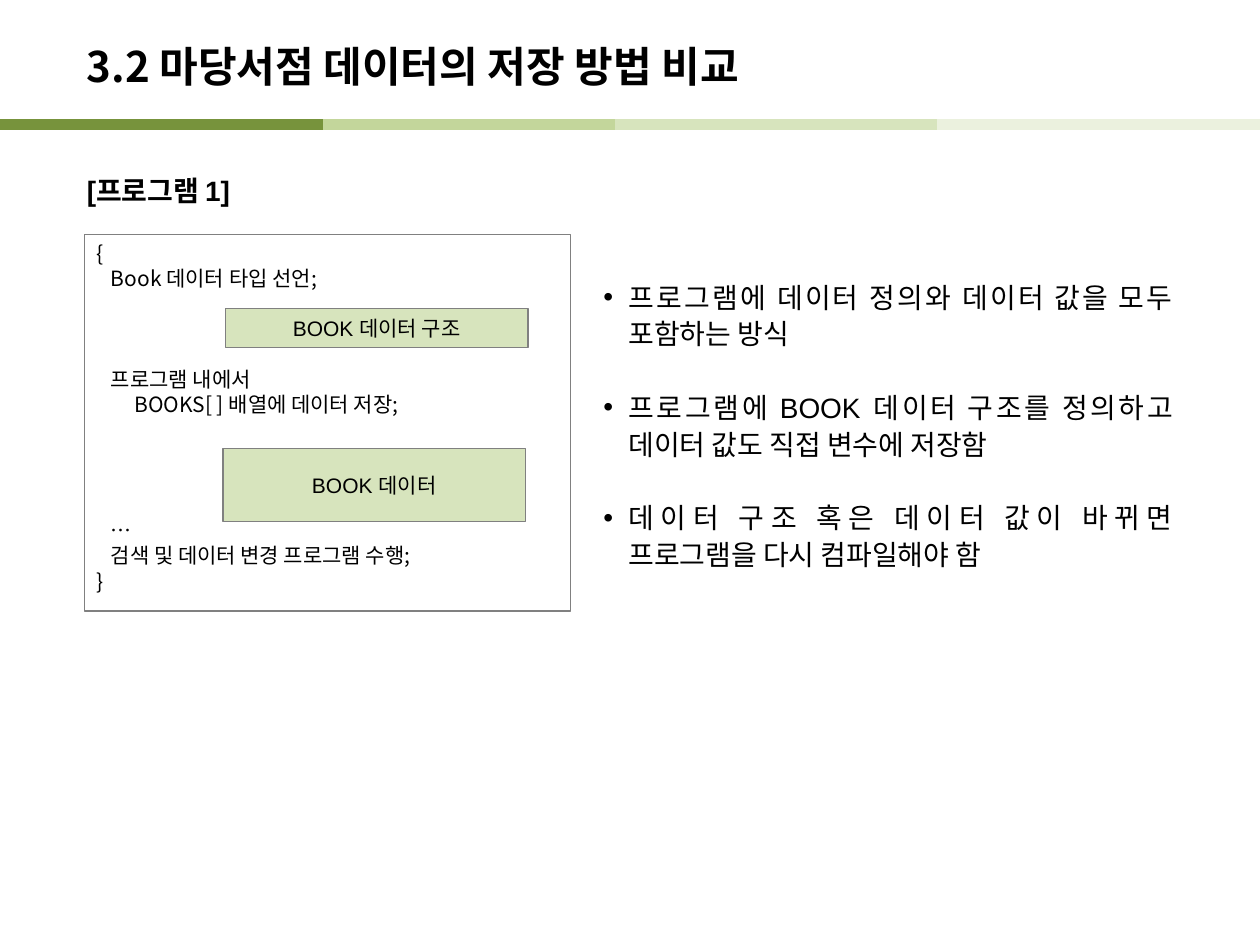
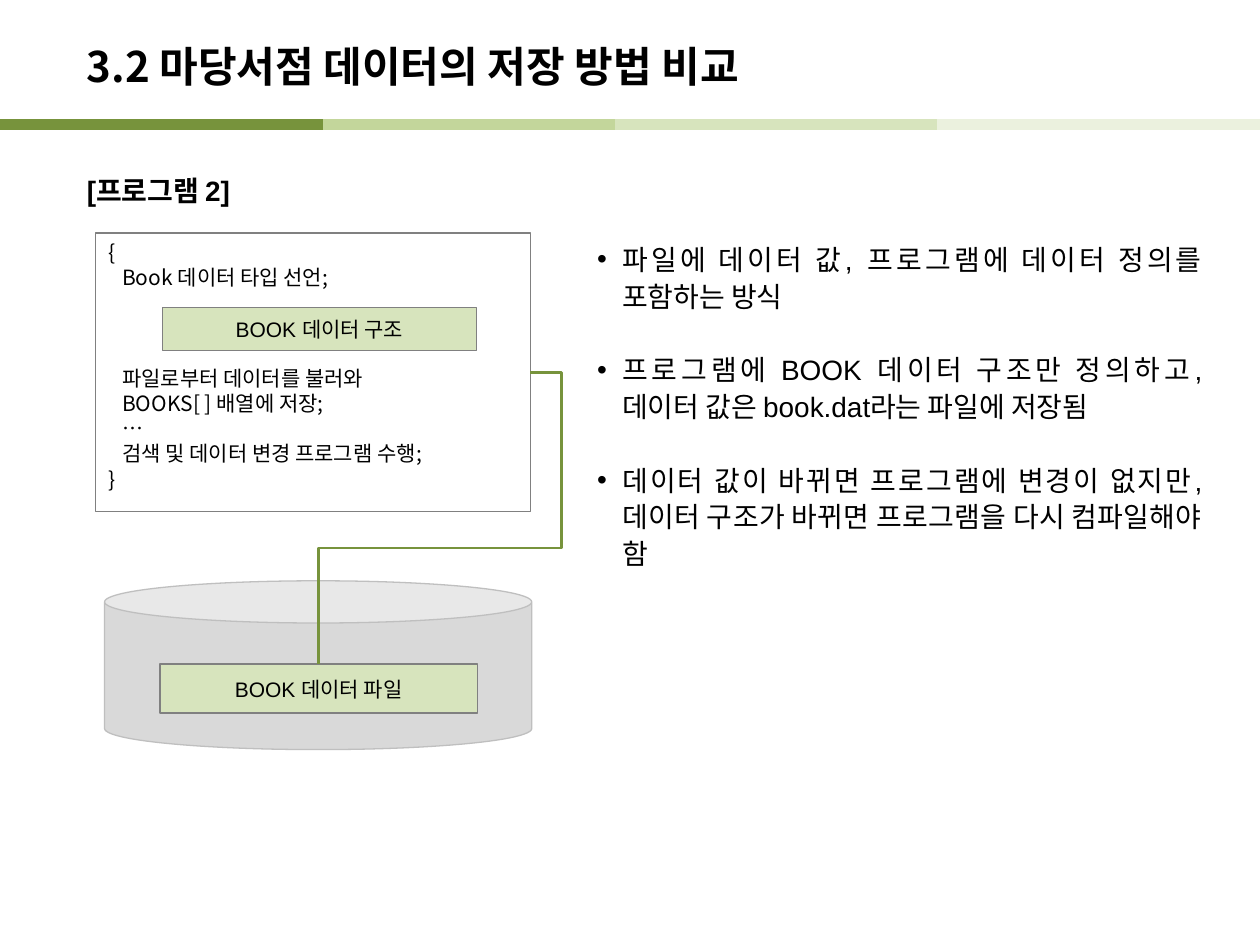
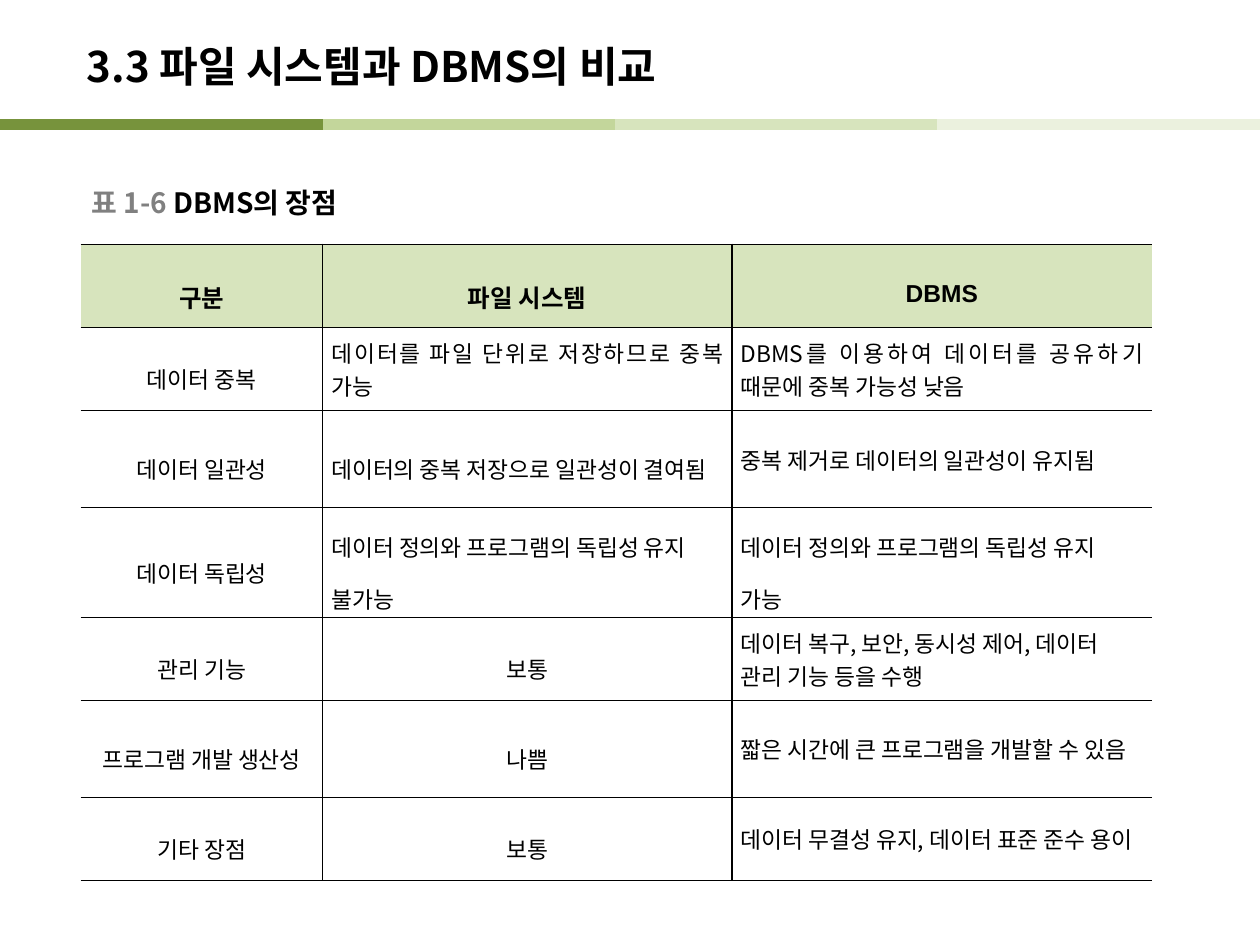
from lxml import etree
from pptx import Presentation
from pptx.dml.color import RGBColor
from pptx.enum.shapes import MSO_CONNECTOR, MSO_SHAPE
from pptx.enum.text import MSO_ANCHOR, PP_ALIGN
from pptx.oxml.ns import qn
from pptx.util import Inches, Pt

RECT, CAN = MSO_SHAPE.RECTANGLE, MSO_SHAPE.CAN
LINE, ELBOW = MSO_CONNECTOR.STRAIGHT, MSO_CONNECTOR.ELBOW
TOP, MID = MSO_ANCHOR.TOP, MSO_ANCHOR.MIDDLE
LEFT, CENTER, FULL = PP_ALIGN.LEFT, PP_ALIGN.CENTER, PP_ALIGN.JUSTIFY

HUES = {
    "ink": "000000", "white": "FFFFFF", "gray": "808080",
    "can": "D9D9D9", "rim": "BFBFBF", "deep": "77933C",
    "leaf": "C3D69B", "pale": "D7E4BD", "mist": "EBF1DE",
}
COLORS = {name: RGBColor.from_string(code) for name, code in HUES.items()}
SANS, ARIAL = "Noto Sans CJK KR", "Arial"

LOOKS = {
    "title": {"size": Pt(24), "bold": True, "name": SANS},
    "head": {"size": Pt(16), "bold": True, "name": ARIAL},
    "point": {"size": Pt(16), "bold": False, "name": ARIAL},
    "code": {"size": Pt(12), "bold": False, "name": SANS},
    "label": {"size": Pt(12), "bold": False, "name": ARIAL},
    "sign": {"size": Pt(16), "bold": True, "name": SANS},
    "top": {"size": Pt(14), "bold": True, "name": SANS},
    "dbms": {"size": Pt(14), "bold": True, "name": ARIAL},
    "cell": {"size": Pt(13), "bold": False, "name": SANS},
}
BANDS = [
    ("leaf", 2.32, 4.88), ("pale", 4.88, 7.44),
    ("mist", 7.44, 10), ("deep", 0, 2.56),
]


def write(par, text, look, hue="ink", **form):
    run = par.add_run()
    run.text = text
    for key, val in LOOKS[look].items():
        setattr(run.font, key, val)
    run.font.color.rgb = COLORS[hue]
    props = run._r.get_or_add_rPr()
    etree.SubElement(props, qn("a:ea")).set("typeface", SANS)
    for key, val in form.items():
        setattr(par, key, val)


def block(slide, spot, fill=None, edge="gray", kind=RECT, anchor=MID):
    spot = [Inches(n) for n in spot]
    if fill:
        shape = slide.shapes.add_shape(kind, *spot)
        shape.shadow.inherit = False
        shape.fill.solid()
        shape.fill.fore_color.rgb = COLORS[fill]
        shape.line.color.rgb = COLORS[edge]
        shape.line.width = Pt(0.75)
    else:
        shape = slide.shapes.add_textbox(*spot)
    shape.text_frame.word_wrap = True
    shape.text_frame.vertical_anchor = anchor
    return shape


prs = Presentation()
prs.slide_width, prs.slide_height = Inches(10), Inches(7.5)
STORE = "3.2 마당서점 데이터의 저장 방법 비교"
slides = []
for title in [STORE, STORE, "3.3 파일 시스템과 DBMS의 비교"]:
    slide = prs.slides.add_slide(prs.slide_layouts[6])
    for hue, start, end in BANDS:
        band = slide.shapes.add_connector(
            LINE, Inches(start), Inches(0.99), Inches(end), Inches(0.99))
        band.line.color.rgb = COLORS[hue]
        band.line.width = Pt(6)
        etree.SubElement(band._element.spPr, qn("a:effectLst"))
    head = block(slide, (0.59, 0.22, 8.27, 0.6))
    write(head.text_frame.paragraphs[0], title, "title", alignment=LEFT)
    slides.append(slide)

PAGES = [
    {
        "head": "[프로그램 1]",
        "list": (4.69, 2.15, 4.72, 2.74),
        "points": [
            "프로그램에 데이터 정의와 데이터 값을 모두 포함하는 방식",
            "프로그램에 BOOK 데이터 구조를 정의하고 데이터 값도 직접 변수에 저장함",
            "데이터 구조 혹은 데이터 값이 바뀌면 프로그램을 다시 컴파일해야 함",
        ],
        "frame": (0.67, 1.86, 3.86, 2.99),
        "code": [
            ("{", 0),
            ("   Book 데이터 타입 선언;", 0),
            ("   프로그램 내에서", 3),
            ("        BOOKS[ ] 배열에 데이터 저장;", 0),
            ("   …", 4),
            ("   검색 및 데이터 변경 프로그램 수행;", 0),
            ("}", 0),
        ],
        "labels": [
            ("BOOK 데이터", (1.77, 3.56, 2.4, 0.58)),
            ("BOOK 데이터 구조", (1.79, 2.45, 2.4, 0.31)),
        ],
    },
    {
        "head": "[프로그램 2]",
        "list": (4.64, 1.85, 5, 2.75),
        "points": [
            "파일에 데이터 값, 프로그램에 데이터 정의를 포함하는 방식",
            "프로그램에 BOOK 데이터 구조만 정의하고, 데이터 값은 book.dat라는 파일에 저장됨",
            "데이터 값이 바뀌면 프로그램에 변경이 없지만, 데이터 구조가 바뀌면 프로그램을 다시 컴파일해야 함",
        ],
        "frame": (0.76, 1.85, 3.45, 2.21),
        "code": [
            ("{", 0),
            ("   Book 데이터 타입 선언;", 0),
            ("   파일로부터 데이터를 불러와", 3),
            ("   BOOKS[ ] 배열에 저장;", 0),
            ("   …", 0),
            ("   검색 및 데이터 변경 프로그램 수행;", 0),
            ("}", 0),
        ],
        "can": (0.83, 4.61, 3.39, 1.34),
        "labels": [
            ("BOOK 데이터 구조", (1.29, 2.44, 2.49, 0.34)),
            ("BOOK 데이터 파일", (1.27, 5.27, 2.52, 0.39)),
        ],
    },
]
PITCH = 14.4
for slide, page in zip(slides, PAGES):
    head = block(slide, (0.59, 1.19, 8.82, 0.6), anchor=TOP)
    write(head.text_frame.paragraphs[0], page["head"], "head",
          line_spacing=Pt(29.4))

    frame = block(slide, page["list"], anchor=TOP).text_frame
    for i, text in enumerate(page["points"]):
        par = frame.add_paragraph() if i else frame.paragraphs[0]
        props = par._p.get_or_add_pPr()
        props.set("marL", str(Inches(0.2)))
        props.set("indent", str(-Inches(0.2)))
        etree.SubElement(props, qn("a:buFont")).set("typeface", ARIAL)
        etree.SubElement(props, qn("a:buChar")).set("char", "•")
        write(par, text, "point", alignment=FULL, line_spacing=Pt(21))
        if i:
            par.space_before = Pt(21)

    code = block(slide, page["frame"], "white", anchor=TOP)
    for i, (text, gap) in enumerate(page["code"]):
        par = code.text_frame.add_paragraph() if i else code.text_frame.paragraphs[0]
        write(par, text, "code", alignment=LEFT, line_spacing=Pt(PITCH))
        if gap:
            par.space_before = Pt(gap * PITCH)

    if "can" in page:
        can = block(slide, page["can"], "can", "rim", CAN)
        can.adjustments[0] = 0.25
    for text, spot in page["labels"]:
        label = block(slide, spot, "pale")
        write(label.text_frame.paragraphs[0], text, "label", alignment=CENTER)
    if "can" in page:
        link = slide.shapes.add_connector(
            ELBOW, Inches(4.21), Inches(2.96), Inches(2.53), Inches(5.27))
        link.begin_connect(code, 3)
        link.end_connect(label, 0)
        link.line.color.rgb = COLORS["deep"]
        link.line.width = Pt(1.5)
        props = link._element.spPr
        etree.SubElement(props, qn("a:effectLst"))
        geom = props.find(qn("a:prstGeom"))
        geom.set("prst", "bentConnector4")
        bends = geom.find(qn("a:avLst"))
        for name, val in [("adj1", -14800), ("adj2", 60200)]:
            bend = etree.SubElement(bends, qn("a:gd"))
            bend.set("name", name)
            bend.set("fmla", f"val {val}")

slide = slides[2]
sign = block(slide, (0.63, 1.45, 2.3, 0.31))
sign.text_frame.word_wrap = False
par = sign.text_frame.paragraphs[0]
write(par, "표 1-6 ", "sign", "gray")
write(par, "DBMS의 장점", "sign")

MODES = {
    "mid": (CENTER, 1.6, 0.07), "wide": (LEFT, 1.6, 0.15),
    "left": (LEFT, 1.0, 0.07), "full": (FULL, 1.0, 0.07),
}
ROWS = [
    (0.66, "구분", "파일 시스템", "mid", "DBMS", "mid"),
    (0.66, "데이터 중복", "데이터를 파일 단위로 저장하므로 중복 가능", "full",
     "DBMS를 이용하여 데이터를 공유하기 때문에 중복 가능성 낮음", "full"),
    (0.77, "데이터 일관성", "데이터의 중복 저장으로 일관성이 결여됨", "wide",
     "중복 제거로 데이터의 일관성이 유지됨", "left"),
    (0.87, "데이터 독립성", "데이터 정의와 프로그램의 독립성 유지 불가능", "wide",
     "데이터 정의와 프로그램의 독립성 유지 가능", "wide"),
    (0.66, "관리 기능", "보통", "mid",
     "데이터 복구, 보안, 동시성 제어, 데이터 관리 기능 등을 수행", "left"),
    (0.77, "프로그램 개발 생산성", "나쁨", "mid",
     "짧은 시간에 큰 프로그램을 개발할 수 있음", "left"),
    (0.66, "기타 장점", "보통", "mid",
     "데이터 무결성 유지, 데이터 표준 준수 용이", "left"),
]
PADS = {
    "margin_left": Inches(0.07), "margin_top": Inches(0.02),
    "margin_bottom": Inches(0.02), "vertical_anchor": MID,
}
SIDES = [
    {"lnR", "lnT", "lnB"},
    {"lnL", "lnR", "lnT", "lnB"},
    {"lnL", "lnT", "lnB"},
]
total = sum(row[0] for row in ROWS)
table = slide.shapes.add_table(
    len(ROWS), 3, Inches(0.64), Inches(1.94), Inches(8.5), Inches(total)).table
table.first_row = table.horz_banding = False
for col, width in zip(table.columns, [1.92, 3.25, 3.33]):
    col.width = Inches(width)
for r, (tall, name, file, fmode, dbms, dmode) in enumerate(ROWS):
    table.rows[r].height = Inches(tall)
    row = [(name, "mid"), (file, fmode), (dbms, dmode)]
    for c, (text, mode) in enumerate(row):
        align, space, pad = MODES[mode]
        cell = table.cell(r, c)
        for key, val in PADS.items():
            setattr(cell, key, val)
        cell.margin_right = Inches(pad)
        props = cell._tc.get_or_add_tcPr()
        for side in ["lnL", "lnR", "lnT", "lnB"]:
            edge = etree.SubElement(props, qn("a:" + side))
            if side in SIDES[c]:
                edge.set("w", str(Pt(1)))
                fill = etree.SubElement(edge, qn("a:solidFill"))
                etree.SubElement(fill, qn("a:srgbClr")).set("val", HUES["ink"])
            else:
                etree.SubElement(edge, qn("a:noFill"))
        cell.fill.solid()
        cell.fill.fore_color.rgb = COLORS["white" if r else "pale"]
        look = "cell" if r else "dbms" if c == 2 else "top"
        write(cell.text_frame.paragraphs[0], text, look,
              alignment=align, line_spacing=space)

prs.save("out.pptx")
